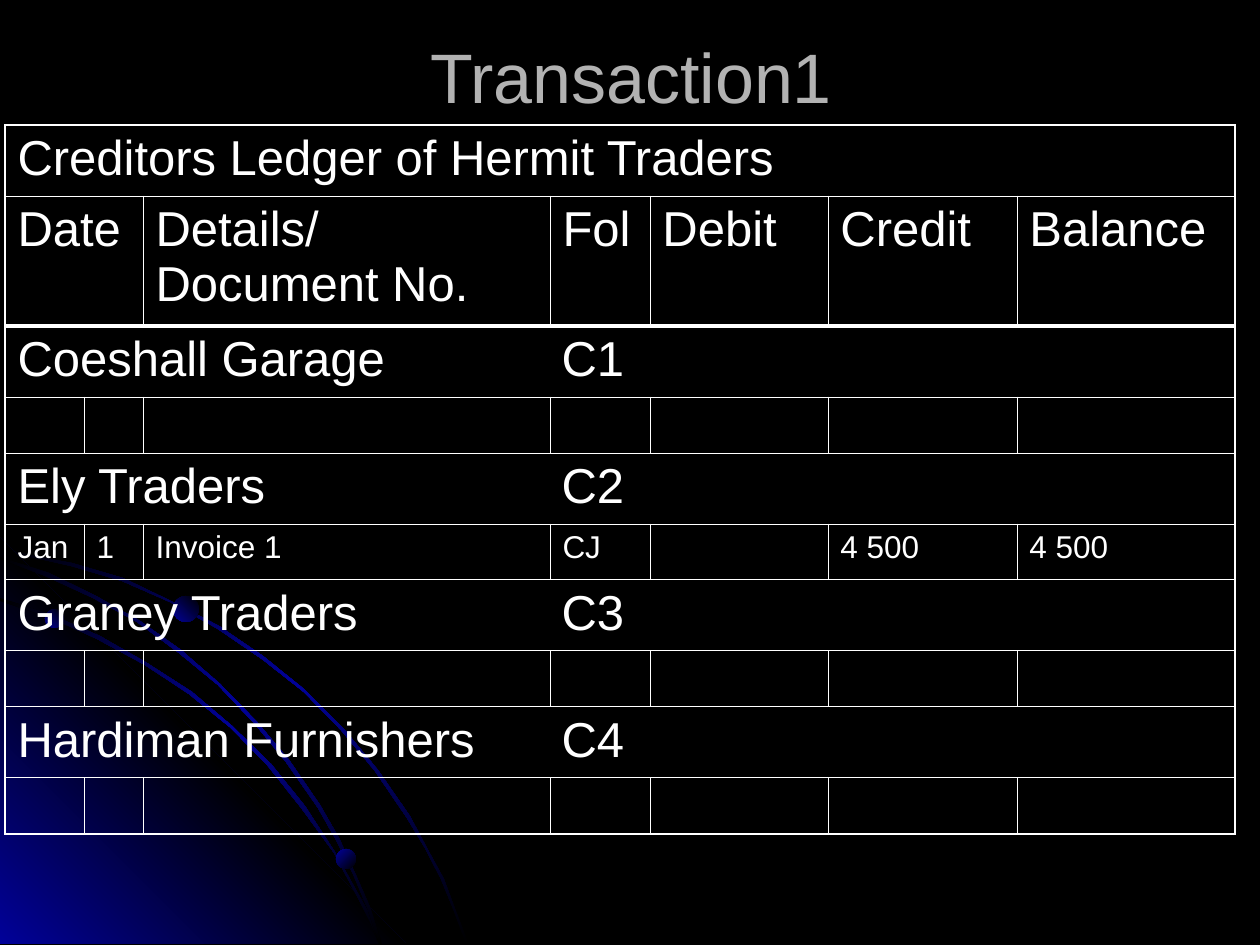
from lxml import etree
from pptx import Presentation
from pptx.dml.color import RGBColor
from pptx.enum.shapes import MSO_SHAPE
from pptx.enum.text import MSO_ANCHOR, PP_ALIGN
from pptx.oxml.ns import qn
from pptx.util import Pt

OVAL = MSO_SHAPE.OVAL
MIDDLE = MSO_ANCHOR.MIDDLE
CENTER = PP_ALIGN.CENTER

PX = 914400 / 126
FONT = "Arial"
COLORS = {"black": "000000", "blue": "010199", "title": "B2B2B2", "white": "FFFFFF"}

THIN, EDGE, HEAVY = 0.45, 1.08, 2.21
TAB = 544
COLS = [79, 59, 407, 100, 178, 189, 218]
HEAD, NAME, ENTRY = 130, 71, 56
HEIGHTS = [NAME, HEAD] + [NAME, ENTRY] * 4
BLANK = [""] * len(COLS)

# A None cell belongs to the span that starts at its left.
def span(text):
    return [text] + [None] * (len(COLS) - 1)


ROWS = [
    span("Creditors Ledger of Hermit Traders"),
    ["Date", None, "Details/ Document No.", "Fol", "Debit", "Credit", "Balance"],
    span("Coeshall Garage\tC1"),
    BLANK,
    span("Ely Traders\tC2"),
    ["Jan", "1", "Invoice 1", "CJ", "", "4 500", "4 500"],
    span("Graney Traders\tC3"),
    BLANK,
    span("Hardiman Furnishers\tC4"),
    BLANK,
]

OUTER = [
    (72, 563), (35, 556), (0, 548), (0, 552), (35, 558), (71, 566), (122, 581),
    (170, 602), (218, 629), (262, 659), (304, 692), (341, 730), (375, 771),
    (407, 818), (425, 848), (441, 879), (454, 911), (466, 944), (469, 944),
    (456, 911), (444, 879), (427, 848), (410, 816), (378, 770), (343, 728),
    (305, 690), (263, 656), (219, 626), (171, 601), (123, 578),
]
CORNER = [(406, 944), (0, 944), (0, 538)]
INNER = [
    (359, 900), (370, 922), (379, 944), (382, 944), (373, 920), (360, 897),
    (335, 852), (305, 806), (271, 764), (232, 726), (192, 692), (147, 663),
    (100, 636), (52, 615), (0, 598), (0, 601), (49, 617), (97, 639), (145, 665),
    (189, 694), (231, 728), (268, 766), (302, 809), (334, 853),
]
MIDWAY = [
    (0, 557), (0, 559), (45, 576), (93, 598), (137, 622), (179, 653), (218, 685),
    (255, 724), (286, 762), (318, 808), (336, 840), (353, 874), (368, 910),
    (379, 944), (382, 944), (370, 907), (355, 873), (339, 838), (320, 805),
    (289, 760), (257, 722), (220, 684), (181, 650), (140, 621), (96, 596), (49, 573),
]
GLOW = ["black", "blue", "black"]
SHAPES = [
    (OUTER, GLOW, 225),
    (CORNER, ["blue", "black", "blue"], 135),
    (INNER, GLOW, 225),
    (MIDWAY, GLOW, 225),
]
DOTS = [(45, 609, 19, 135), (336, 849, 20, 225), (173, 596, 26, 135)]


def emu(px):
    return round(px * PX)


def rgb(name):
    return RGBColor.from_string(COLORS[name])


def style(par, size, color):
    for run in par.runs:
        run.font.name = FONT
        run.font.size = Pt(size)
        run.font.color.rgb = rgb(color)


def shade(shape, names, angle):
    """Fill with evenly spaced stops; the angle runs clockwise."""
    shape.shadow.inherit = False
    shape.line.fill.background()
    shape.fill.gradient()
    shape.fill.gradient_angle = 360 - angle
    stops = next(shape._element.iter(qn("a:gsLst")))
    for old in list(stops):
        stops.remove(old)
    for i, name in enumerate(names):
        pos = 100000 * i // (len(names) - 1)
        stop = etree.SubElement(stops, qn("a:gs"), pos=str(pos))
        etree.SubElement(stop, qn("a:srgbClr"), val=COLORS[name])


def add_form(slide, points, names, angle):
    form = slide.shapes.build_freeform(*points[0], scale=PX)
    form.add_line_segments(points[1:], close=True)
    shade(form.convert_to_shape(), names, angle)


def add_dot(slide, x, y, size, angle):
    dot = slide.shapes.add_shape(OVAL, emu(x), emu(y), emu(size), emu(size))
    shade(dot, ["black", "blue"], angle)


def set_title(slide, text):
    title = slide.shapes.title
    title.left, title.top, title.width, title.height = map(emu, (64, 26, 1134, 100))
    frame = title.text_frame
    frame.text = text
    frame.vertical_anchor = MIDDLE
    par = frame.paragraphs[0]
    par.alignment = CENTER
    style(par, 40, "title")


def set_lines(cell, widths):
    """Draw the borders in the order left, right, top, bottom."""
    props = cell._tc.get_or_add_tcPr()
    for side, width in zip("LRTB", widths):
        line = etree.SubElement(props, qn("a:ln" + side), w=str(Pt(width)))
        fill = etree.SubElement(line, qn("a:solidFill"))
        etree.SubElement(fill, qn("a:srgbClr"), val=COLORS["white"])


def set_text(cell, text, size):
    par = cell.text_frame.paragraphs[0]
    par.text = text
    if "\t" in text:
        tabs = etree.SubElement(par._p.get_or_add_pPr(), qn("a:tabLst"))
        etree.SubElement(tabs, qn("a:tab"), pos=str(emu(TAB)), algn="l")
    style(par, size, "white")


def row_line(edge):
    if edge in (0, len(ROWS)):
        return EDGE
    return HEAVY if edge == 2 else THIN


def col_line(edge):
    return EDGE if edge in (0, len(COLS)) else THIN


def add_ledger(slide):
    frame = slide.shapes.add_table(len(ROWS), len(COLS), emu(5), emu(125),
                                   emu(sum(COLS)), emu(sum(HEIGHTS)))
    table = frame.table
    table.first_row = table.horz_banding = False
    for col, width in zip(table.columns, COLS):
        col.width = emu(width)
    for r, (row, height) in enumerate(zip(ROWS, HEIGHTS)):
        table.rows[r].height = emu(height)
        size = 18 if height == ENTRY else 28
        for c, text in enumerate(row):
            cell = table.cell(r, c)
            if text is not None:
                end = c + 1
                while end < len(row) and row[end] is None:
                    end += 1
                if end > c + 1:
                    cell.merge(table.cell(r, end - 1))
                set_lines(cell, (col_line(c), col_line(end), row_line(r), row_line(r + 1)))
                set_text(cell, text, size)
            cell.fill.background()


def main():
    deck = Presentation()
    deck.slide_width, deck.slide_height = emu(1260), emu(945)
    slide = deck.slides.add_slide(deck.slide_layouts[5])
    slide.background.fill.solid()
    slide.background.fill.fore_color.rgb = rgb("black")
    for shape in SHAPES:
        add_form(slide, *shape)
    for dot in DOTS:
        add_dot(slide, *dot)
    set_title(slide, "Transaction1")
    add_ledger(slide)
    deck.save("out.pptx")


if __name__ == "__main__":
    main()
